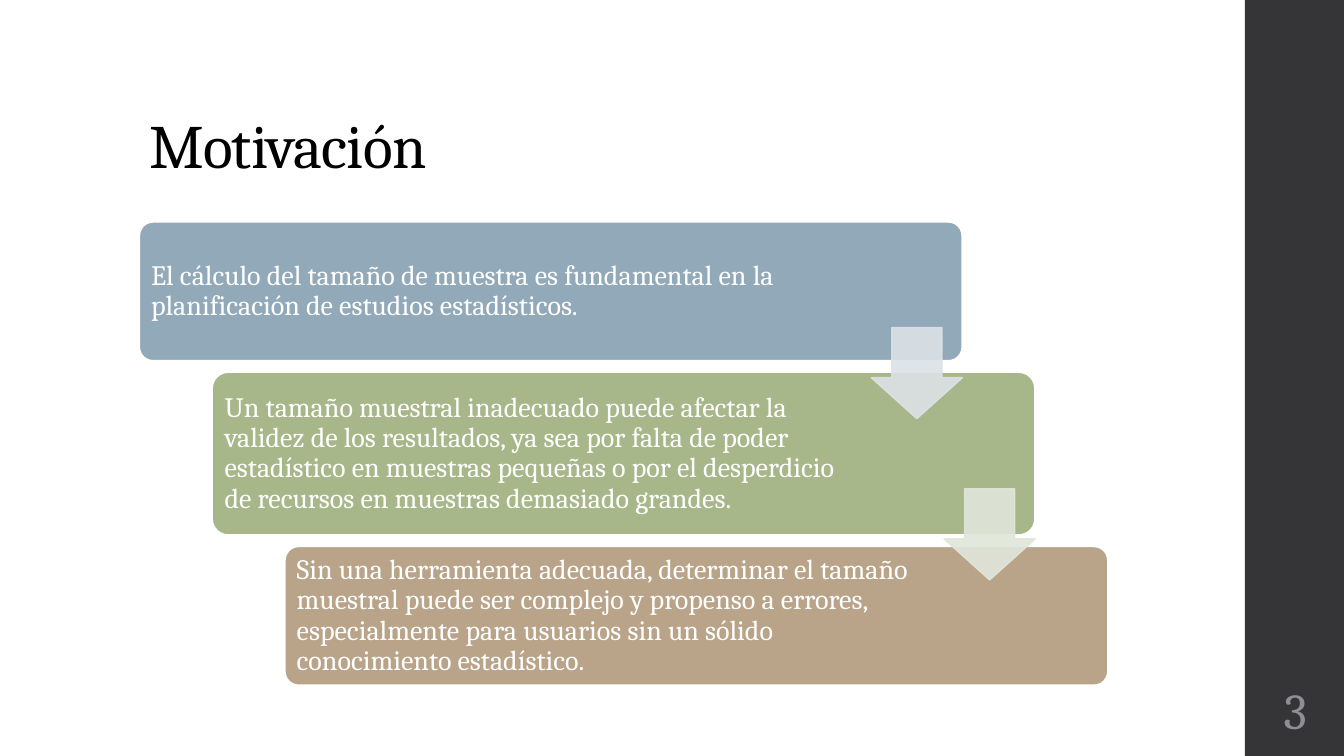
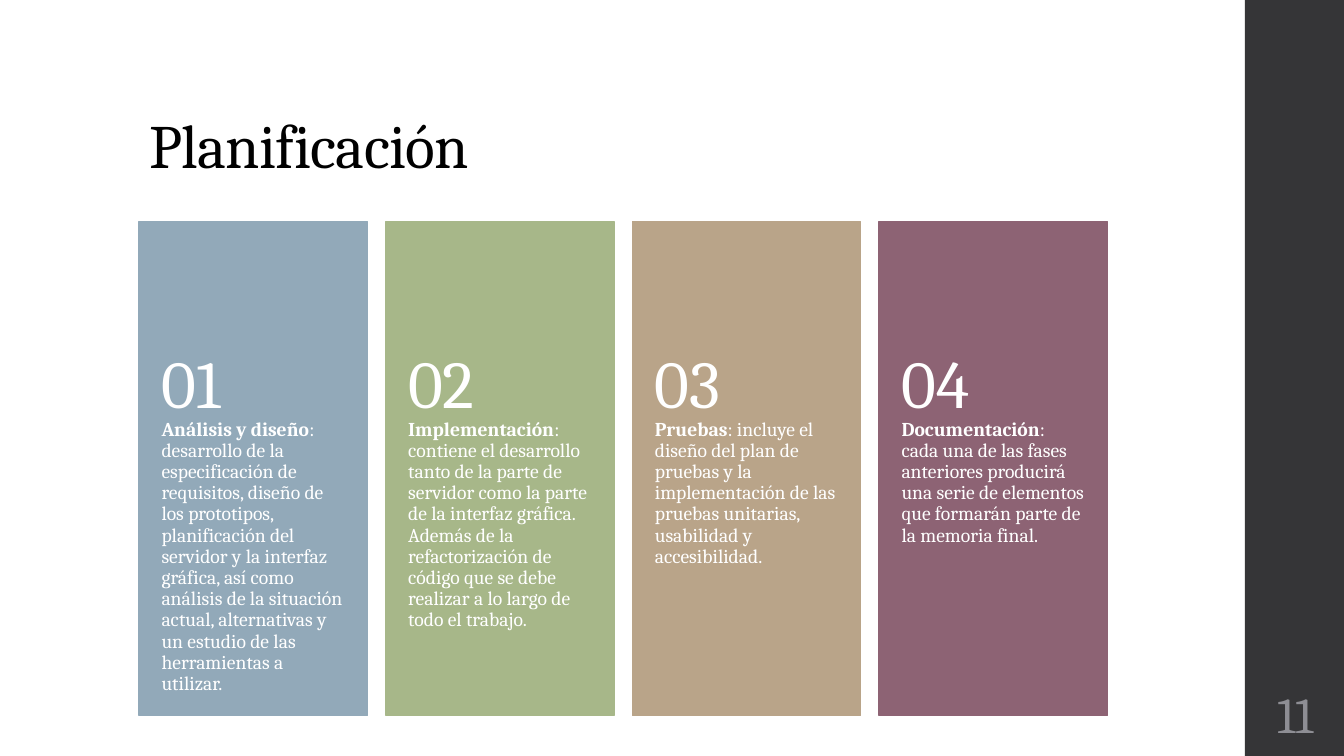
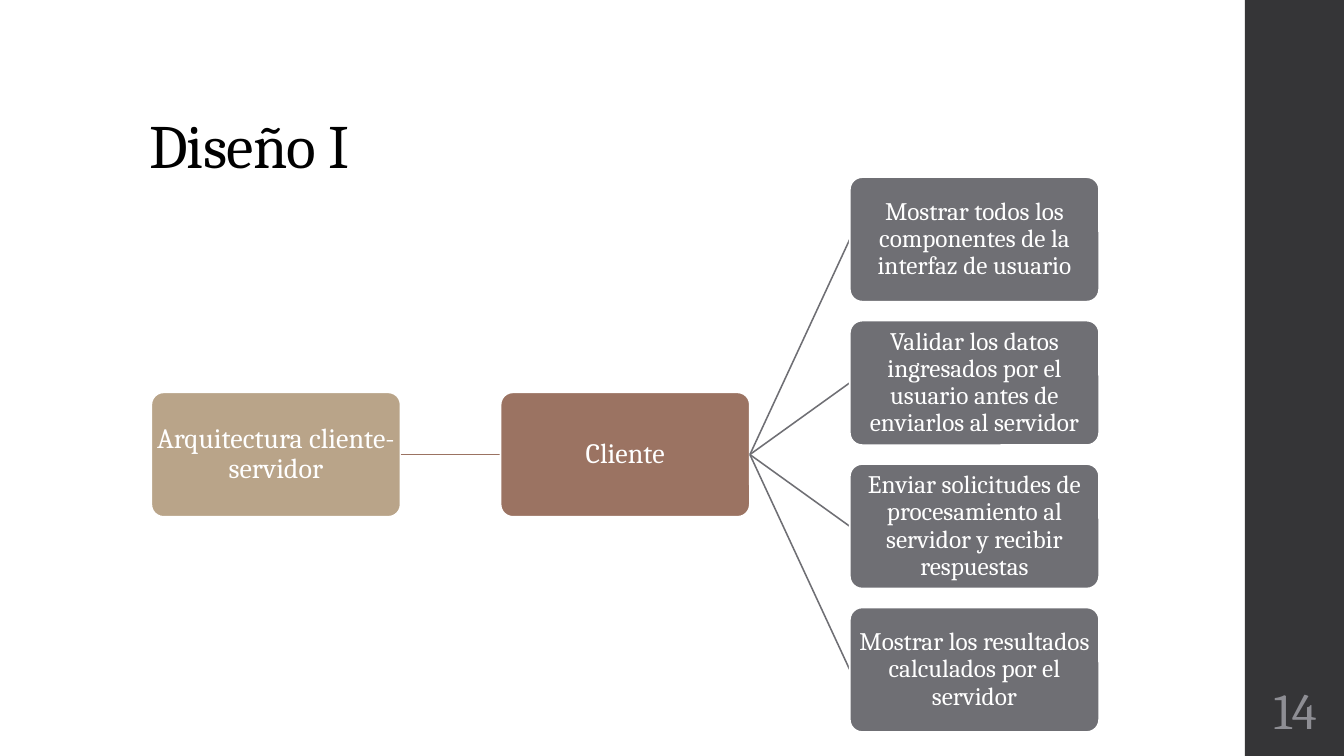
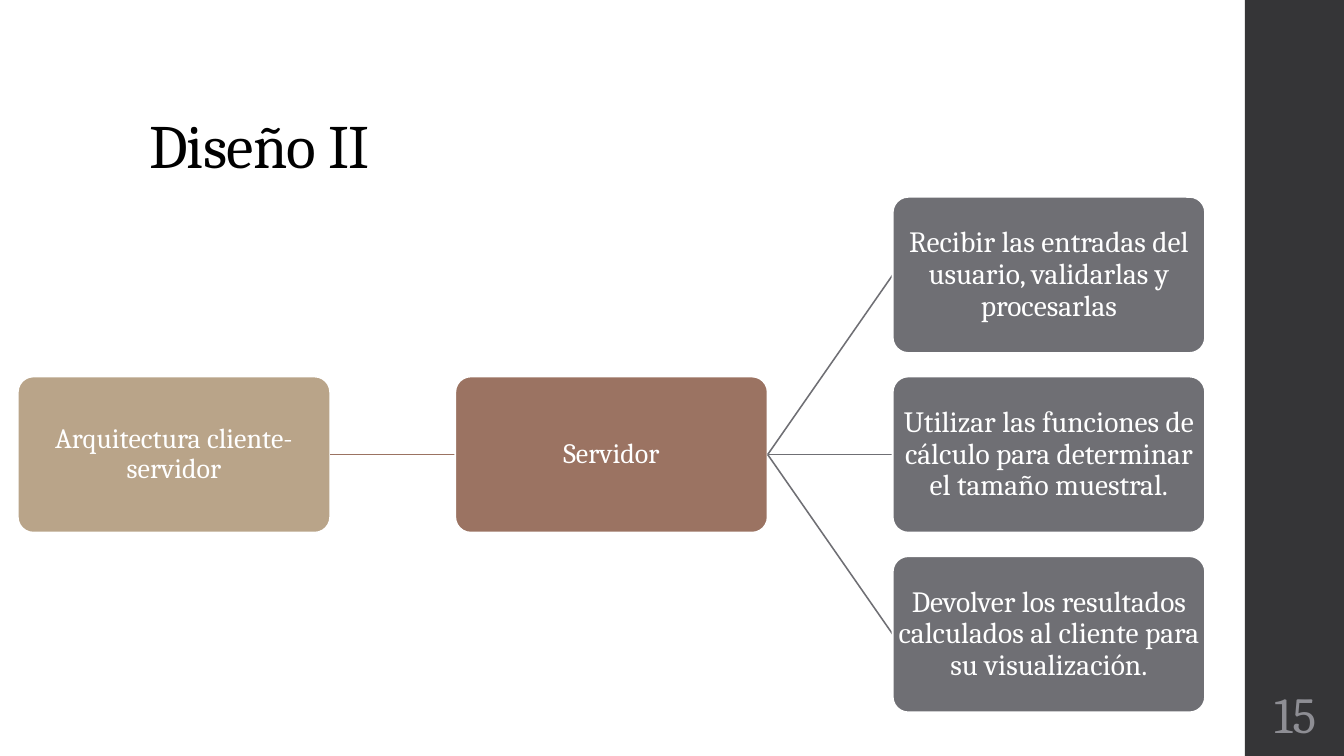
from lxml import etree
from pptx import Presentation
from pptx.dml.color import RGBColor
from pptx.enum.shapes import MSO_CONNECTOR, MSO_SHAPE
from pptx.enum.text import MSO_ANCHOR, PP_ALIGN
from pptx.oxml.ns import qn
from pptx.util import Pt

RECTANGLE = MSO_SHAPE.RECTANGLE
ROUNDED = MSO_SHAPE.ROUNDED_RECTANGLE
DOWN_ARROW = MSO_SHAPE.DOWN_ARROW
STRAIGHT = MSO_CONNECTOR.STRAIGHT
TOP, MIDDLE, BOTTOM = MSO_ANCHOR.TOP, MSO_ANCHOR.MIDDLE, MSO_ANCHOR.BOTTOM
LEFT, CENTER = PP_ALIGN.LEFT, PP_ALIGN.CENTER

WHITE, BLACK = "FFFFFF", "000000"
BLUE, GREEN, SAND, PLUM = "92A9B9", "A7B789", "B9A489", "8D6374"
BROWN, GRAY = "9B7362", "6F6F74"
BAND, NUMBER = "353537", "8E8E94"
PALE_BLUE, PALE_GREEN = "DCE2E6", "E1E6DA"

CONTENT_LEFT, CONTENT_TOP = 99.4, 158.4
BAND_LEFT, BAND_WIDTH = 889.2, 72


def color(value):
    return RGBColor.from_string(value)


def write_text(frame, text, lead="", size=20, ink=WHITE, align=LEFT, anchor=MIDDLE,
               insets=(0, 0, 0, 0), line_spacing=0.9, space_after=0, tracking=0):
    frame.word_wrap = True
    frame.vertical_anchor = anchor
    (frame.margin_left, frame.margin_top,
     frame.margin_right, frame.margin_bottom) = map(Pt, insets)
    paragraph = frame.paragraphs[0]
    paragraph.alignment = align
    paragraph.line_spacing = line_spacing
    paragraph.space_after = Pt(space_after)
    for content, bold in ((lead, True), (text, False)):
        if not content:
            continue
        run = paragraph.add_run()
        run.text = content
        run.font.name = "Cambria"
        run.font.size = Pt(size)
        run.font.bold = bold
        run.font.color.rgb = color(ink)
        if tracking:
            run._r.get_or_add_rPr().set("spc", str(int(tracking * 100)))


class Deck:
    def __init__(self):
        self.presentation = Presentation()
        self.presentation.slide_width = Pt(960)
        self.presentation.slide_height = Pt(540)
        self.slide = None

    def new_slide(self, title, number, **number_format):
        layout = self.presentation.slide_layouts[6]
        self.slide = self.presentation.slides.add_slide(layout)
        self.shape(RECTANGLE, BAND_LEFT, 0, BAND_WIDTH, 540, BAND)
        self.text(CONTENT_LEFT, 28.8, 763.2, 104.4, title, size=44, ink=BLACK,
                  anchor=BOTTOM, insets=(7.2, 3.6, 7.2, 3.6), tracking=-0.5)
        self.text(BAND_LEFT, 486, BAND_WIDTH, 46.8, str(number), size=36, ink=NUMBER,
                  align=CENTER, insets=(3.6,) * 4, **number_format)

    def text(self, left, top, width, height, text, **text_format):
        box = self.slide.shapes.add_textbox(Pt(left), Pt(top), Pt(width), Pt(height))
        write_text(box.text_frame, text, **text_format)

    def shape(self, kind, left, top, width, height, fill, line=None, line_width=1.1,
              adjustments=()):
        shape = self.slide.shapes.add_shape(kind, Pt(left), Pt(top), Pt(width), Pt(height))
        shape.shadow.inherit = False
        shape.fill.solid()
        shape.fill.fore_color.rgb = color(fill)
        if line:
            shape.line.color.rgb = color(line)
            shape.line.width = Pt(line_width)
        else:
            shape.line.fill.background()
        for index, value in enumerate(adjustments):
            shape.adjustments[index] = value
        return shape

    def box(self, left, top, width, height, fill, text, **text_format):
        box = self.shape(ROUNDED, left, top, width, height, fill, WHITE, 1.35, [0.1])
        write_text(box.text_frame, text, **text_format)

    def arrow(self, left, top, size, fill):
        arrow = self.shape(DOWN_ARROW, left, top, size, size, fill, fill,
                           adjustments=[0.55, 0.45])
        for solid in arrow._element.spPr.iter(qn("a:srgbClr")):
            etree.SubElement(solid, qn("a:alpha")).set("val", "90000")

    def link(self, start, end, line):
        connector = self.slide.shapes.add_connector(STRAIGHT, *map(Pt, start + end))
        connector.line.color.rgb = color(line)
        connector.line.width = Pt(1.1)
        etree.SubElement(connector._element.spPr, qn("a:effectLst"))

    def column(self, left, width, fill, number, lead, text):
        self.shape(RECTANGLE, left, CONTENT_TOP, width, 352.8, fill, fill)
        self.text(left, 299.5, width, 211.7, text, lead=lead, size=14, anchor=TOP,
                  insets=(16, 0, 16, 26))
        self.text(left, 236.9, width, 78.5, number, size=48, insets=(16, 13, 16, 13))

    def tree(self, left, height, root, branch, leaves, leaf_size):
        center, width = 324.7, 2 * height
        step = 1.4 * width
        pitch = 1.15 * height
        first = center - pitch * (len(leaves) - 1) / 2
        nodes = [(0, center, SAND, root, 20), (1, center, BROWN, branch, 20)]
        nodes += [(2, first + pitch * row, GRAY, leaf, leaf_size)
                  for row, leaf in enumerate(leaves)]
        for level, middle, fill, text, size in nodes:
            node_left = left + step * level
            if level:
                self.link((node_left - step + width, center), (node_left, middle), fill)
            self.box(node_left, middle - height / 2, width, height, fill, text,
                     size=size, align=CENTER, insets=(0.7,) * 4)


def motivation(deck):
    deck.new_slide("Motivación", 3, space_after=6)
    steps = [
        (BLUE, 99.4, 107, "El cálculo del tamaño de muestra es fundamental en la "
         "planificación de estudios estadísticos."),
        (GREEN, 116.6, 122, "Un tamaño muestral inadecuado puede afectar la validez de los "
         "resultados, ya sea por falta de poder estadístico en muestras pequeñas o por el "
         "desperdicio de recursos en muestras demasiado grandes."),
        (SAND, 99.4, 122, "Sin una herramienta adecuada, determinar el tamaño muestral puede "
         "ser complejo y propenso a errores, especialmente para usuarios sin un sólido "
         "conocimiento estadístico."),
    ]
    width, shift, gap, arrow_size = 588, 52, 7.9, 65
    top = CONTENT_TOP
    for index, (fill, height, right_inset, text) in enumerate(steps):
        deck.box(CONTENT_LEFT + shift * index, top, width, height, fill, text,
                 insets=(5.6, 5.6, right_inset, 5.6))
        top += height + gap
    for index, (arrow_top, fill) in enumerate([(234, PALE_BLUE), (349.2, PALE_GREEN)]):
        arrow_left = CONTENT_LEFT + shift * index + width - arrow_size
        deck.arrow(arrow_left, arrow_top, arrow_size, fill)


def planning(deck):
    deck.new_slide("Planificación", 11, line_spacing=1)
    phases = [
        (BLUE, "Análisis y diseño", ": desarrollo de la especificación de requisitos, diseño "
         "de los prototipos, planificación del servidor y la interfaz gráfica, así como "
         "análisis de la situación actual, alternativas y un estudio de las herramientas a "
         "utilizar."),
        (GREEN, "Implementación", ": contiene el desarrollo tanto de la parte de servidor como "
         "la parte de la interfaz gráfica. Además de la refactorización de código que se debe "
         "realizar a lo largo de todo el trabajo."),
        (SAND, "Pruebas", ": incluye el diseño del plan de pruebas y la implementación de las "
         "pruebas unitarias, usabilidad y accesibilidad."),
        (PLUM, "Documentación", ": cada una de las fases anteriores producirá una serie de "
         "elementos que formarán parte de la memoria final."),
    ]
    for index, (fill, lead, text) in enumerate(phases):
        deck.column(CONTENT_LEFT + 176.2 * index, 163, fill, f"{index + 1:02}", lead, text)


def design(deck):
    root = "Arquitectura cliente-servidor"
    deck.new_slide("Diseño I", 14, space_after=6)
    deck.tree(108, 89.1, root, "Cliente", [
        "Mostrar todos los componentes de la interfaz de usuario",
        "Validar los datos ingresados por el usuario antes de enviarlos al servidor",
        "Enviar solicitudes de procesamiento al servidor y recibir respuestas",
        "Mostrar los resultados calculados por el servidor",
    ], 18)
    deck.new_slide("Diseño II", 15, line_spacing=1)
    deck.tree(12.7, 111.6, root, "Servidor", [
        "Recibir las entradas del usuario, validarlas y procesarlas",
        "Utilizar las funciones de cálculo para determinar el tamaño muestral.",
        "Devolver los resultados calculados al cliente para su visualización.",
    ], 21)


def main():
    deck = Deck()
    motivation(deck)
    planning(deck)
    design(deck)
    deck.presentation.save("out.pptx")


if __name__ == "__main__":
    main()
